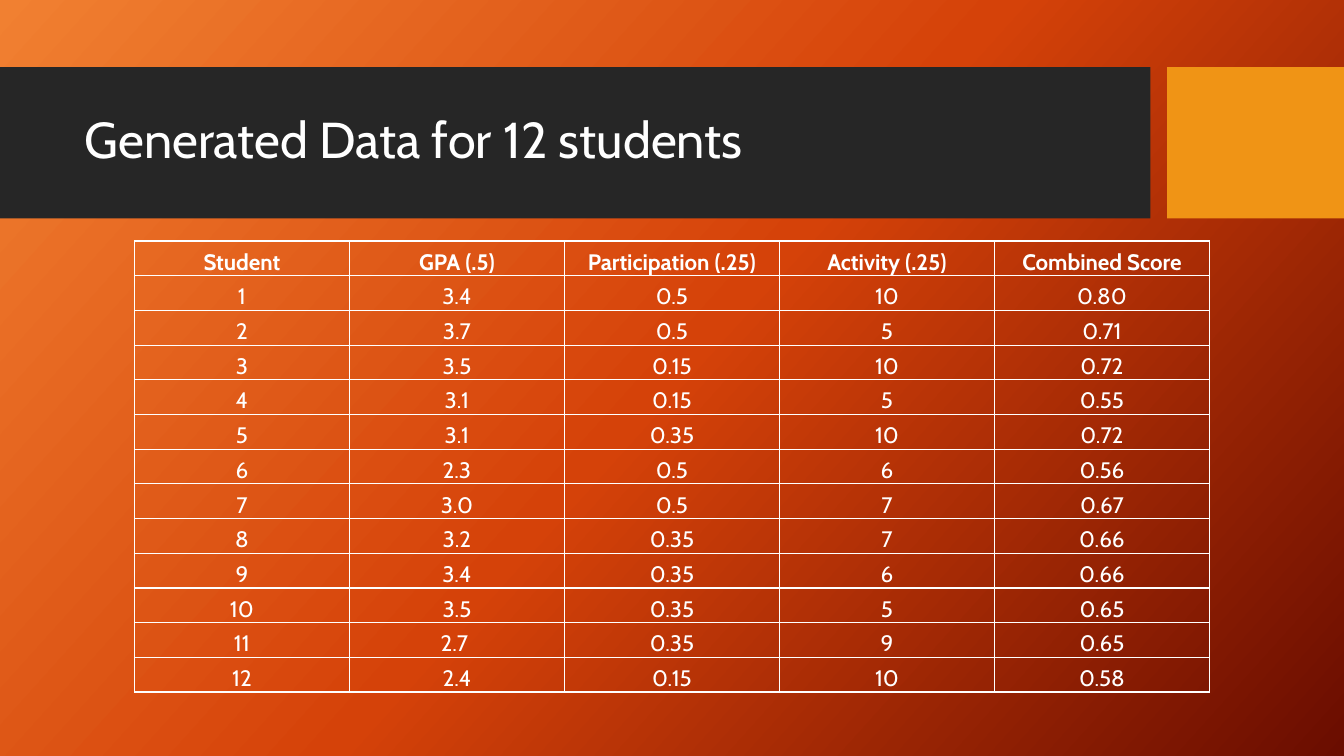
from copy import deepcopy
from lxml.etree import SubElement
from pptx import Presentation
from pptx.dml.color import RGBColor
from pptx.enum.shapes import MSO_SHAPE
from pptx.enum.text import MSO_ANCHOR, MSO_AUTO_SIZE, PP_ALIGN
from pptx.oxml.ns import qn
from pptx.util import Pt

THEME = {
    "font": "Cabin",
    "text": "FFFFFF",
    "band": "262626",
    "accent": "F09415",
    "gradient": [(0, "F18031"), (0.5, "D54209"), (1, "6A0D00")],
    "title_size": 36,
    "table_size": 16,
    "border_width": 1,
}
ROWS = [
    ("Student", "GPA (.5)", "Participation (.25)", "Activity (.25)", "Combined Score"),
    ("1", "3.4", "0.5", "10", "0.80"),
    ("2", "3.7", "0.5", "5", "0.71"),
    ("3", "3.5", "0.15", "10", "0.72"),
    ("4", "3.1", "0.15", "5", "0.55"),
    ("5", "3.1", "0.35", "10", "0.72"),
    ("6", "2.3", "0.5", "6", "0.56"),
    ("7", "3.0", "0.5", "7", "0.67"),
    ("8", "3.2", "0.35", "7", "0.66"),
    ("9", "3.4", "0.35", "6", "0.66"),
    ("10", "3.5", "0.35", "5", "0.65"),
    ("11", "2.7 ", "0.35", "9", "0.65"),
    ("12", "2.4", "0.15", "10", "0.58"),
]


def apply_format(target, values):
    for name, value in values.items():
        setattr(target, name, value)


def write_text(frame, text, size, bold, para_format):
    para = frame.paragraphs[0]
    apply_format(para, para_format)
    span = para.add_run()
    span.text = text
    apply_format(span.font, {"name": THEME["font"], "size": Pt(size), "bold": bold})
    span.font.color.rgb = RGBColor.from_string(THEME["text"])


deck = Presentation()
apply_format(deck, {"slide_width": Pt(960), "slide_height": Pt(540)})
page = deck.slides.add_slide(deck.slide_layouts[5])

backdrop = page.background.fill
backdrop.gradient()
stop_list = next(page.element.iter(qn("a:gsLst")))
stop_list.insert(1, deepcopy(stop_list[0]))
for stop, (position, color) in zip(backdrop.gradient_stops, THEME["gradient"]):
    stop.position = position
    stop.color.rgb = RGBColor.from_string(color)
backdrop.gradient_angle = 360 - 42

title = page.shapes.title
apply_format(title, {"left": Pt(53.3), "top": Pt(59), "width": Pt(756.7), "height": Pt(85)})
apply_format(title.text_frame, {
    "word_wrap": True,
    "auto_size": MSO_AUTO_SIZE.NONE,
    "vertical_anchor": MSO_ANCHOR.MIDDLE,
})
write_text(title.text_frame, "Generated Data for 12 students", THEME["title_size"], False,
           {"alignment": PP_ALIGN.LEFT, "line_spacing": 0.9})

for left, width, color in [(0, 821.8, "band"), (833.6, 126.4, "accent")]:
    box = page.shapes.add_shape(MSO_SHAPE.RECTANGLE, Pt(left), Pt(48), Pt(width), Pt(108))
    box.shadow.inherit = False
    box.fill.solid()
    box.fill.fore_color.rgb = RGBColor.from_string(THEME[color])
    box.line.fill.background()
    title.element.addprevious(box.element)

table = page.shapes.add_table(len(ROWS), len(ROWS[0]), Pt(96), Pt(172.2), Pt(768), Pt(322.4)).table
apply_format(table, {"first_row": False, "horz_banding": False})
for row in table.rows:
    row.height = Pt(24.8)
for row_index, values in enumerate(ROWS):
    for column_index, value in enumerate(values):
        cell = table.cell(row_index, column_index)
        apply_format(cell, {
            "margin_left": Pt(0.75),
            "margin_right": Pt(0.75),
            "margin_top": Pt(0.75),
            "margin_bottom": Pt(0),
            "vertical_anchor": MSO_ANCHOR.BOTTOM,
        })
        write_text(cell.text_frame, value, THEME["table_size"], row_index == 0,
                   {"alignment": PP_ALIGN.CENTER})
        properties = cell._tc.get_or_add_tcPr()
        for side in ("a:lnL", "a:lnR", "a:lnT", "a:lnB"):
            border = SubElement(properties, qn(side), w=str(Pt(THEME["border_width"])))
            SubElement(SubElement(border, qn("a:solidFill")), qn("a:srgbClr"), val=THEME["text"])
        cell.fill.background()

deck.save("out.pptx")
